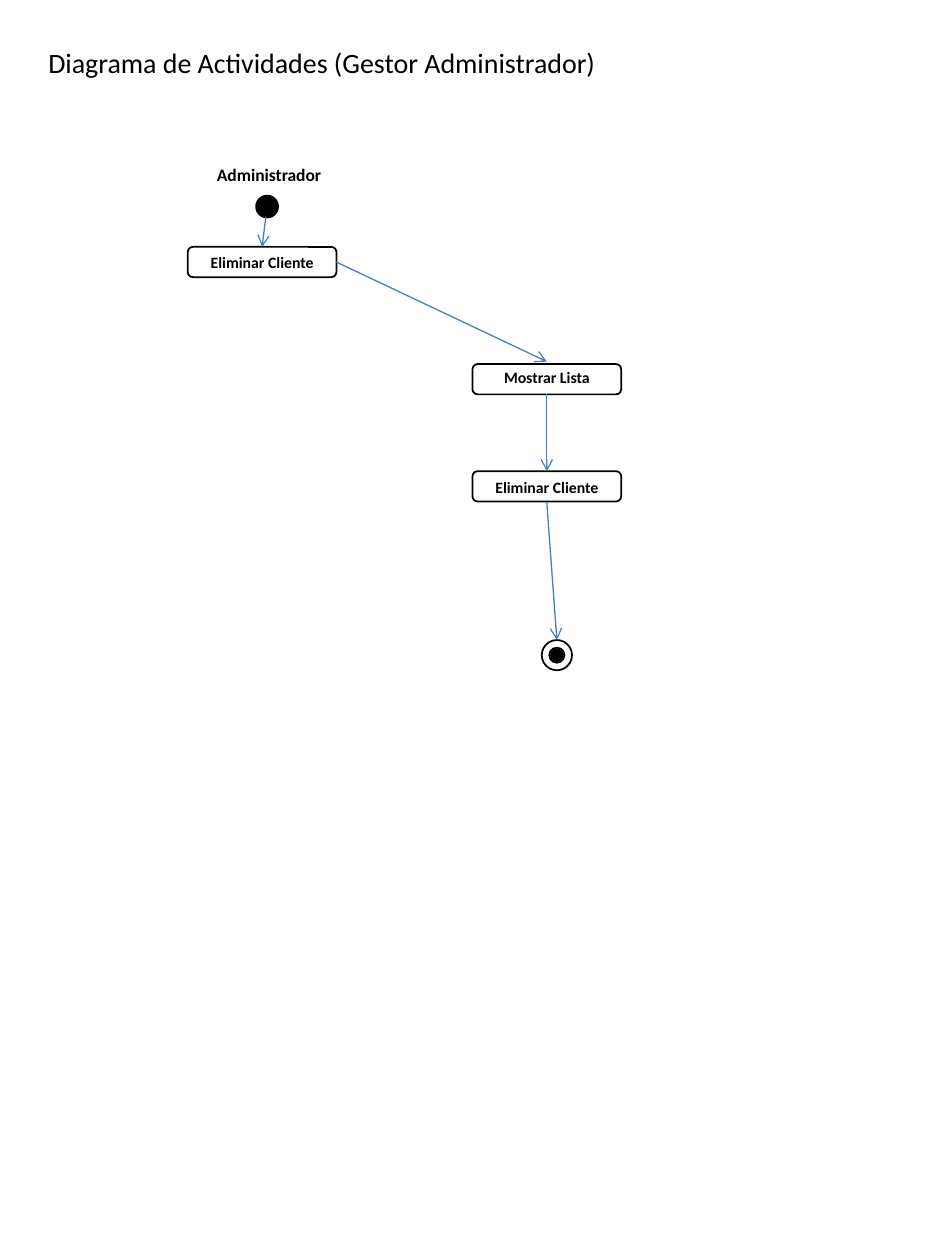
from pptx import Presentation
from pptx.dml.color import RGBColor
from pptx.enum.shapes import MSO_CONNECTOR, MSO_SHAPE
from pptx.enum.text import MSO_ANCHOR, PP_ALIGN
from pptx.oxml.ns import qn
from pptx.util import Inches, Pt
from lxml import etree

BLACK = RGBColor(0x00, 0x00, 0x00)
WHITE = RGBColor(0xFF, 0xFF, 0xFF)
BLUE = RGBColor(0x4B, 0x7E, 0xBC)
CIRCLE = MSO_SHAPE.FLOWCHART_CONNECTOR
DONUT = MSO_SHAPE.DONUT
ACTIVITY = MSO_SHAPE.FLOWCHART_ALTERNATE_PROCESS
STRAIGHT = MSO_CONNECTOR.STRAIGHT
CENTER = PP_ALIGN.CENTER
TOP = MSO_ANCHOR.TOP


def add_text(slide, text, box, size=9, bold=True, color=BLACK):
    frame = slide.shapes.add_textbox(*map(Inches, box)).text_frame
    frame.word_wrap = True
    frame.vertical_anchor = TOP
    para = frame.paragraphs[0]
    para.alignment = CENTER
    span = para.add_run()
    span.text = text
    span.font.name = "Calibri"
    span.font.size = Pt(size)
    span.font.bold = bold
    span.font.color.rgb = color


def add_outline(shapes, kind, box, fill, width):
    shape = shapes.add_shape(kind, *map(Inches, box))
    shape.shadow.inherit = False
    shape.fill.solid()
    shape.fill.fore_color.rgb = fill
    shape.line.color.rgb = BLACK
    shape.line.width = Pt(width)


def add_activity(slide, text, box, text_shift=0):
    left, top, width, height = box
    add_outline(slide.shapes, ACTIVITY, box, WHITE, 1)
    add_text(slide, text, (left, top + text_shift, width, height + 0.01))


def add_start(slide, box):
    add_outline(slide.shapes, CIRCLE, box, BLACK, 2)


def add_end(slide, box):
    left, top, size, _ = box
    dot = size / 3
    group = slide.shapes.add_group_shape()
    add_outline(group.shapes, CIRCLE, (left + dot, top + dot, dot, dot), BLACK, 2)
    add_outline(group.shapes, DONUT, box, WHITE, 1)


def add_arrow(slide, start, end):
    arrow = slide.shapes.add_connector(STRAIGHT, *map(Inches, start + end))
    arrow.line.color.rgb = BLUE
    arrow.line.width = Pt(0.75)
    line = arrow.line._get_or_add_ln()
    etree.SubElement(line, qn("a:tailEnd"), type="arrow")
    etree.SubElement(arrow._element.spPr, qn("a:effectLst"))


def add_activity_diagram(slide, box):
    left, top, _, _ = box
    width, height = 1.18, 0.24
    activities = [
        ("Eliminar Cliente", 0.18, 0.71, 0),
        ("Mostrar Lista", 2.44, 1.64, -0.02),
        ("Eliminar Cliente", 2.44, 2.49, 0),
    ]
    arrows = [
        ((0.80, 0.47), (0.77, 0.71)),
        ((1.36, 0.83), (3.03, 1.62)),
        ((3.03, 1.88), (3.03, 2.49)),
        ((3.03, 2.74), (3.11, 3.83)),
    ]
    add_text(slide, "Administrador", (left, top, 1.65, 0.27), size=10)
    add_start(slide, (left + 0.73, top + 0.31, 0.16, 0.16))
    add_end(slide, (left + 2.99, top + 3.83, 0.24, 0.24))
    for text, x, y, text_shift in activities:
        add_activity(slide, text, (left + x, top + y, width, height), text_shift)
    for start, end in arrows:
        add_arrow(slide, *((left + x, top + y) for x, y in (start, end)))


deck = Presentation()
deck.slide_width = Inches(7.5)
deck.slide_height = Inches(10)
page = deck.slides.add_slide(deck.slide_layouts[6])
add_text(page, "Diagrama de Actividades (Gestor Administrador)",
         (0.23, 0.31, 4.65, 0.44), size=16, bold=False)
add_activity_diagram(page, (1.31, 1.25, 3.62, 4.07))
deck.save("out.pptx")
